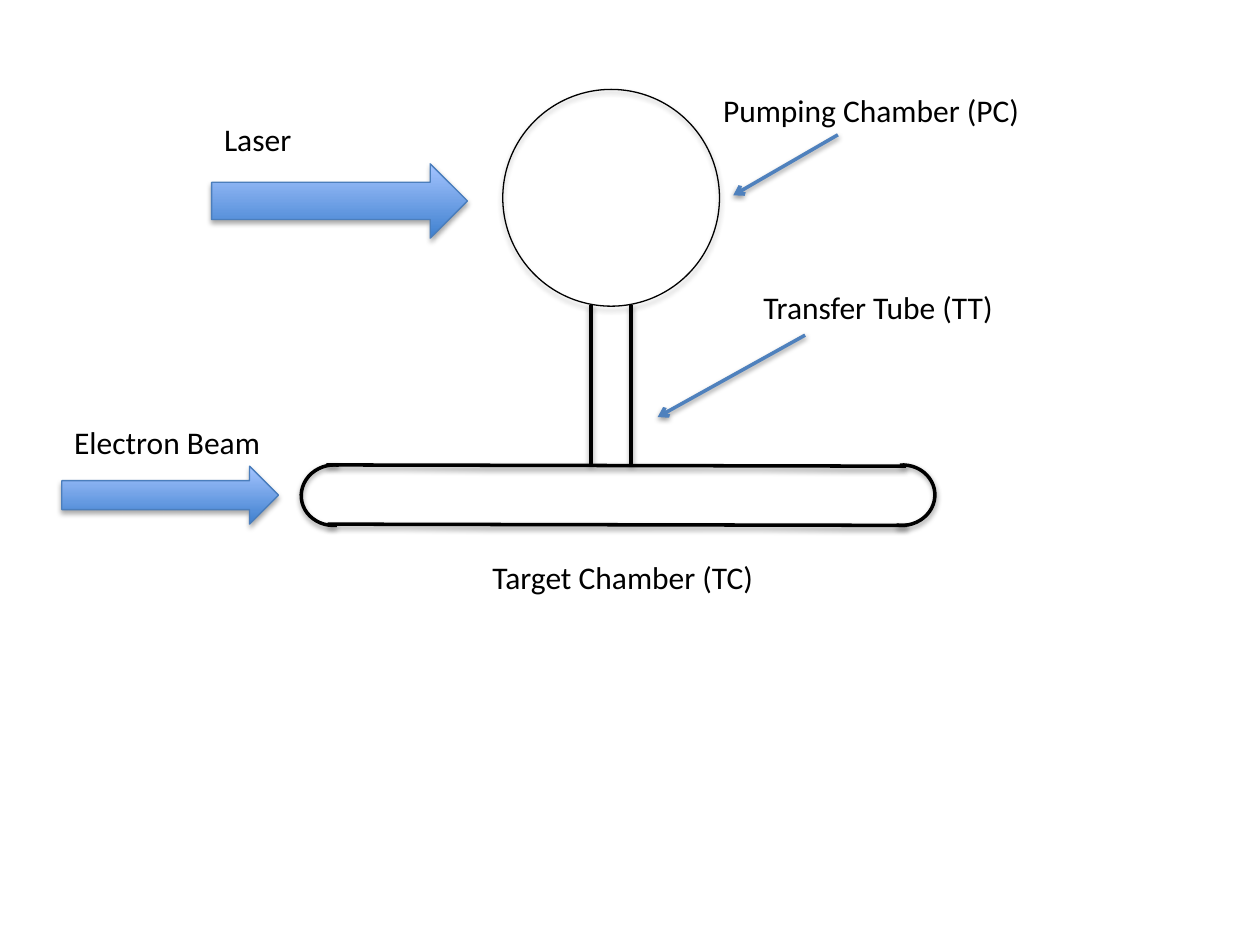
"""Draw a two-chamber target cell with its laser and electron beam."""
import pptx
import pptx.dml.color
import pptx.enum.shapes
import pptx.oxml
import pptx.oxml.ns
import pptx.util
from pptx.util import Inches

KIND = pptx.enum.shapes.MSO_SHAPE
NS = pptx.oxml.ns.nsdecls("a")


def hue(code):
    return pptx.dml.color.RGBColor.from_string(code)


def write(frame, words, font="Calibri", size=18, color="000000"):
    frame.word_wrap = True
    run = frame.paragraphs[0].add_run()
    run.text = words
    run.font.name = font
    run.font.size = pptx.util.Pt(size)
    run.font.color.rgb = hue(color)


class Sketch:
    ink = "000000"
    blue = "4F81BD"
    edge = "4B7EBC"
    fade = ("3F80CE", "A4C4FF")
    thin = 0.75
    thick = 2

    def __init__(self, slide):
        self.slide = slide

    def stroke(self, item, color, width):
        item.line.color.rgb = hue(color)
        item.line.width = pptx.util.Pt(width)

    def shade(self, item, alpha, drop):
        props = item.element.spPr
        for old in props.findall(pptx.oxml.ns.qn("a:effectLst")):
            props.remove(old)
        props.append(pptx.oxml.parse_xml(
            f'<a:effectLst {NS}><a:outerShdw blurRad="{pptx.util.Pt(3.1)}" '
            f'dist="{pptx.util.Pt(drop)}" dir="5400000" rotWithShape="0">'
            f'<a:srgbClr val="{self.ink}"><a:alpha val="{alpha * 1000}"/>'
            '</a:srgbClr></a:outerShdw></a:effectLst>'))

    def shape(self, kind, box, color, width, alpha=35, drop=1.8):
        item = self.slide.shapes.add_shape(kind, *map(Inches, box))
        item.shadow.inherit = False
        item.fill.background()
        self.stroke(item, color, width)
        self.shade(item, alpha, drop)
        return item

    def ball(self, *box):
        self.shape(KIND.OVAL, box, self.ink, self.thin)

    def cap(self, left, turn):
        item = self.shape(KIND.ARC, (left, 3.69, 0.52, 0.48),
                          self.ink, self.thick, 38, 1.6)
        item.adjustments[0] = 162
        item.adjustments[1] = 62.945
        item.rotation = turn

    def beam(self, *box):
        item = self.shape(KIND.RIGHT_ARROW, box, self.edge, self.thin)
        item.fill.gradient()
        item.fill.gradient_angle = 90
        for stop, code in zip(item.fill.gradient_stops, self.fade):
            stop.color.rgb = hue(code)

    def line(self, *ends, color=ink, head=False):
        item = self.slide.shapes.add_connector(
            pptx.enum.shapes.MSO_CONNECTOR.STRAIGHT, *map(Inches, ends))
        self.stroke(item, color, self.thick)
        if head:
            rule = item.element.spPr.find(pptx.oxml.ns.qn("a:ln"))
            rule.append(pptx.oxml.parse_xml(f'<a:tailEnd {NS} type="arrow"/>'))
        self.shade(item, 38, 1.6)

    def label(self, words, left, top, width):
        box = self.slide.shapes.add_textbox(
            *map(Inches, (left, top, width, 0.4)))
        write(box.text_frame, words)


def main():
    deck = pptx.Presentation()
    deck.slide_width, deck.slide_height = Inches(10), Inches(7.5)
    art = Sketch(deck.slides.add_slide(deck.slide_layouts[6]))

    art.ball(3.99, 0.71, 1.72, 1.72)
    for side in (4.69, 5.01):
        art.line(side, 2.42, side, 3.69)
    for left, top in ((2.59, 3.69), (2.6, 4.16)):
        art.line(left, top, left + 4.6, top + 0.01)
    art.cap(6.9, 355.8)
    art.cap(2.39, 174.3)

    art.label("Pumping Chamber (PC)", 5.64, 0.67, 2.64)
    art.line(6.65, 1.07, 5.82, 1.55, color=art.blue, head=True)
    art.label("Transfer Tube (TT)", 5.96, 2.24, 2.31)
    art.line(6.39, 2.66, 5.22, 3.31, color=art.blue, head=True)
    art.label("Target Chamber (TC)", 3.81, 4.38, 3.95)

    art.beam(1.68, 1.3, 2.03, 0.59)
    art.label("Laser", 1.68, 0.9, 2.03)
    art.beam(0.49, 3.7, 1.72, 0.46)
    art.label("Electron Beam", 0.49, 3.31, 2.2)
    deck.save("out.pptx")


if __name__ == "__main__":
    main()
